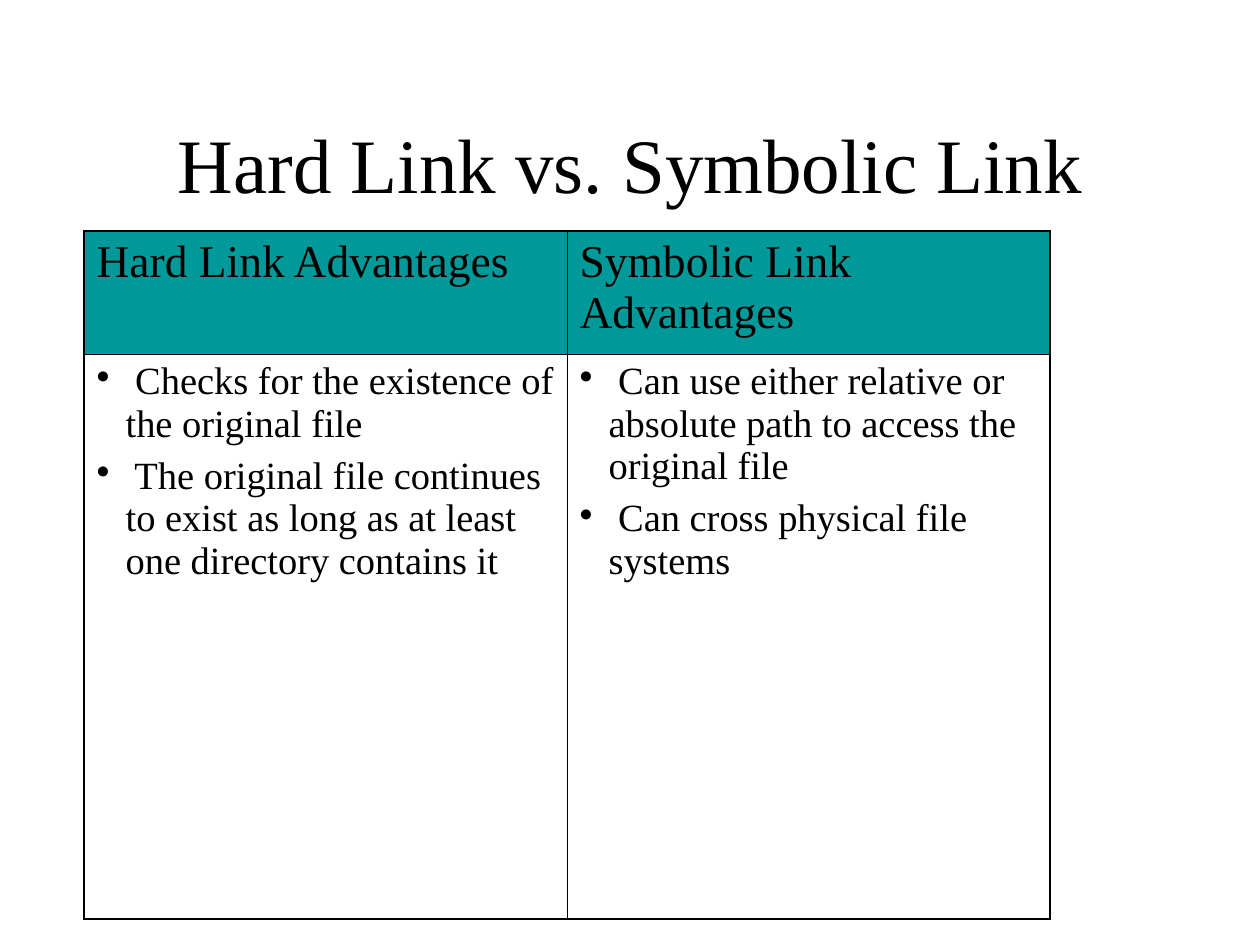
import lxml.etree
import pptx
import pptx.dml.color
import pptx.enum.text
import pptx.oxml.ns
import pptx.util

PX = 914400 // 126
FONT = "Times New Roman"
BLACK = "000000"
TEAL = "009999"
OUTER, INNER = 1.08, 0.45
BULLET_INDENT = 29

HEADINGS = ["Hard Link Advantages", "Symbolic Link Advantages"]
ADVANTAGES = [
    [
        " Checks for the existence of the original file",
        " The original file continues to exist as long as at least one directory contains it",
    ],
    [
        " Can use either relative or absolute path to access the original file",
        " Can cross physical file systems",
    ],
]


def color(value):
    return pptx.dml.color.RGBColor.from_string(value)


def add_element(parent, tag, **attributes):
    values = {name: str(value) for name, value in attributes.items()}
    return lxml.etree.SubElement(parent, pptx.oxml.ns.qn(tag), values)


presentation = pptx.Presentation()
presentation.slide_width = 1260 * PX
presentation.slide_height = 945 * PX
slide = presentation.slides.add_slide(presentation.slide_layouts[6])

# Title
title = slide.shapes.add_textbox(95 * PX, 84 * PX, 1071 * PX, 158 * PX)
title.text_frame.word_wrap = True
title.text_frame.vertical_anchor = pptx.enum.text.MSO_ANCHOR.MIDDLE
paragraph = title.text_frame.paragraphs[0]
paragraph.text = "Hard Link vs. Symbolic Link"
paragraph.alignment = pptx.enum.text.PP_ALIGN.CENTER
paragraph.font.name = FONT
paragraph.font.size = pptx.util.Pt(44)
paragraph.font.color.rgb = color(BLACK)

# Comparison table
table = slide.shapes.add_table(2, 2, 84 * PX, 231 * PX, 966 * PX, 688 * PX).table
table.first_row = False
table.horz_banding = False
for row, height in zip(table.rows, (123, 565)):
    row.height = height * PX

for column_index, (heading, advantages) in enumerate(zip(HEADINGS, ADVANTAGES)):
    table.columns[column_index].width = 483 * PX
    for row_index, lines in enumerate(([heading], advantages)):
        is_header = row_index == 0
        cell = table.cell(row_index, column_index)
        cell.text_frame.text = "\n".join(lines)

        for line_index, paragraph in enumerate(cell.text_frame.paragraphs):
            if line_index > 0:
                paragraph.space_before = pptx.util.Pt(5.5)
            if not is_header:
                properties = paragraph._p.get_or_add_pPr()
                properties.set("marL", str(BULLET_INDENT * PX))
                properties.set("indent", str(-BULLET_INDENT * PX))
                bullet_color = add_element(properties, "a:buClr")
                add_element(bullet_color, "a:srgbClr", val=BLACK)
                add_element(properties, "a:buChar", char="•")
            paragraph.font.name = FONT
            paragraph.font.size = pptx.util.Pt(26 if is_header else 22)
            paragraph.font.color.rgb = color(BLACK)

        # Border lines come before the fill in the cell properties
        border_widths = {
            "a:lnL": OUTER if column_index == 0 else INNER,
            "a:lnR": OUTER if column_index == 1 else INNER,
            "a:lnT": OUTER if row_index == 0 else INNER,
            "a:lnB": OUTER if row_index == 1 else INNER,
        }
        cell_properties = cell._tc.get_or_add_tcPr()
        for tag, width in border_widths.items():
            border = add_element(cell_properties, tag, w=pptx.util.Pt(width))
            border_fill = add_element(border, "a:solidFill")
            add_element(border_fill, "a:srgbClr", val=BLACK)

        if is_header:
            cell.fill.solid()
            cell.fill.fore_color.rgb = color(TEAL)
        else:
            cell.fill.background()

presentation.save("out.pptx")
